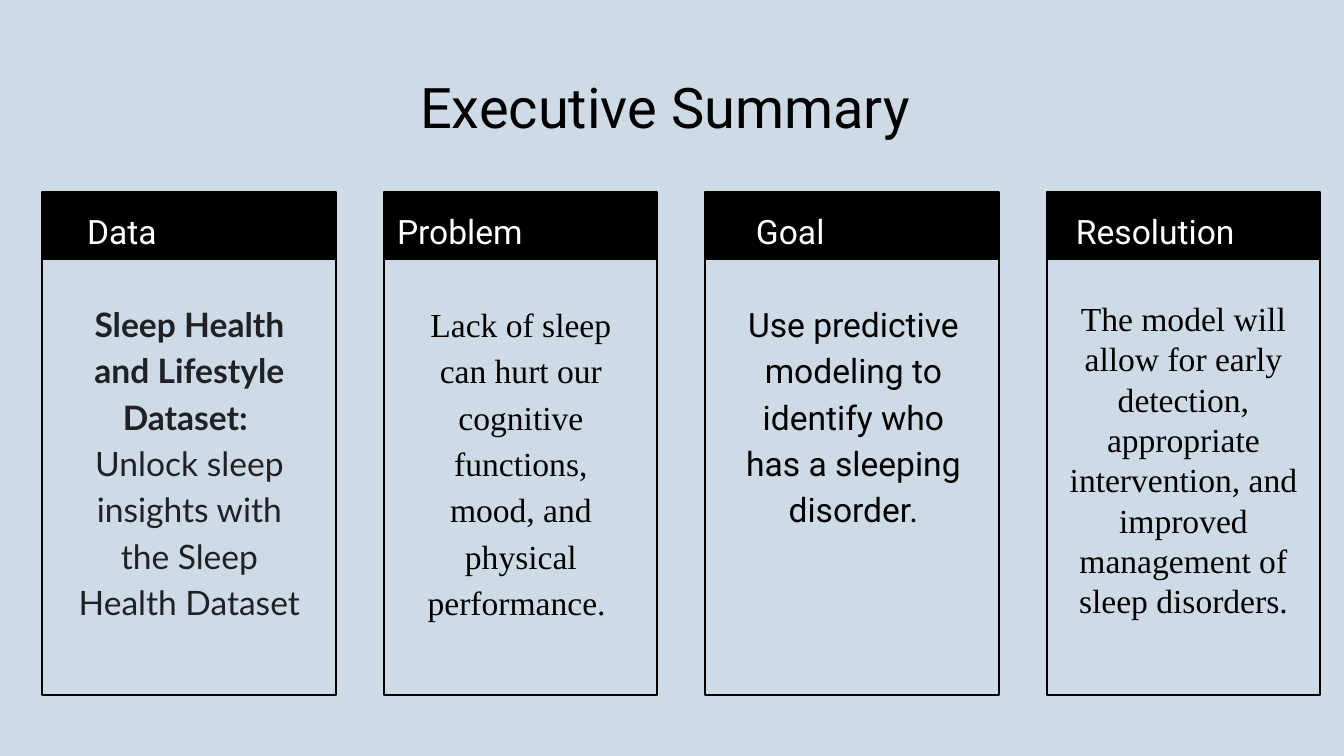
from dataclasses import dataclass

from pptx import Presentation
from pptx.dml.color import RGBColor
from pptx.enum.shapes import MSO_SHAPE as Shape
from pptx.enum.text import MSO_ANCHOR as Anchor, PP_ALIGN as Align
from pptx.util import Emu, Pt

EMU_PER_PX = 914400 / 134.4
SKY = RGBColor(0xCE, 0xDB, 0xE6)
BLACK = RGBColor(0, 0, 0)
WHITE = RGBColor(0xFF, 0xFF, 0xFF)
CHARCOAL = RGBColor(0x20, 0x21, 0x24)

PAGE_W, PAGE_H = 1344, 756
CARD_LEFT, CARD_TOP, CARD_H, CARD_GAP = 42, 192, 503, 48
HEADER_H, BODY_TOP, BODY_H, INSET = 68, 285, 400, 13


def px(value):
    return Emu(round(value * EMU_PER_PX))


@dataclass
class Card:
    """One column; the indents are measured from its left edge."""
    width: int
    label: str
    label_indent: int
    body: list
    body_indent: int
    body_width: int
    font: str
    color: RGBColor = BLACK
    spacing: float = 1.15
    lead_bold: bool = False


CARDS = [
    Card(294, "Data", 32,
         ["Sleep Health and Lifestyle Dataset: ",
          "Unlock sleep insights with the Sleep Health Dataset"],
         23, 249, "Lato", CHARCOAL, lead_bold=True),
    Card(273, "Problem", 0,
         ["Lack of sleep can hurt our cognitive functions, mood, and "
          "physical performance. "],
         18, 238, "Times New Roman"),
    Card(294, "Goal", 38,
         ["Use predictive modeling to identify who has a sleeping disorder."],
         23, 251, "Roboto"),
    Card(273, "Resolution", 16,
         ["The model will allow for early detection, appropriate "
          "intervention, and improved management of sleep disorders."],
         0, 273, "Times New Roman", spacing=1.0),
]


class SlideBuilder:
    def __init__(self, deck):
        self.page = deck.slides.add_slide(deck.slide_layouts[6])
        fill = self.page.background.fill
        fill.solid()
        fill.fore_color.rgb = SKY

    def rect(self, left, top, width, height, filled):
        """Draw a solid black bar, or a thin black frame."""
        shape = self.page.shapes.add_shape(
            Shape.RECTANGLE, px(left), px(top), px(width), px(height))
        shape.shadow.inherit = False
        if filled:
            shape.fill.solid()
            shape.fill.fore_color.rgb = BLACK
            shape.line.fill.background()
        else:
            shape.fill.background()
            shape.line.color.rgb = BLACK
            shape.line.width = Pt(0.75)

    def text(self, left, top, width, height, lines, font="Roboto", size=18,
             color=BLACK, align=Align.CENTER, spacing=1.15, lead_bold=False):
        box = self.page.shapes.add_textbox(
            px(left), px(top), px(width), px(height))
        frame = box.text_frame
        frame.word_wrap = True
        frame.vertical_anchor = Anchor.TOP
        frame.margin_left = frame.margin_right = px(INSET)
        frame.margin_top = frame.margin_bottom = px(INSET)
        frame.text = "\n".join(lines)
        for index, para in enumerate(frame.paragraphs):
            para.alignment = align
            para.line_spacing = spacing
            for span in para.runs:
                span.font.name = font
                span.font.size = Pt(size)
                span.font.color.rgb = color
                span.font.bold = lead_bold and index == 0

    def card(self, left, card):
        self.rect(left, CARD_TOP, card.width, HEADER_H, filled=True)
        self.rect(left, CARD_TOP, card.width, CARD_H, filled=False)
        self.text(left + card.label_indent, CARD_TOP,
                  card.width - card.label_indent, HEADER_H, [card.label],
                  color=WHITE, align=Align.LEFT)
        self.text(left + card.body_indent, BODY_TOP, card.body_width, BODY_H,
                  card.body, card.font, color=card.color,
                  spacing=card.spacing, lead_bold=card.lead_bold)


def main():
    deck = Presentation()
    deck.slide_width, deck.slide_height = px(PAGE_W), px(PAGE_H)
    builder = SlideBuilder(deck)
    builder.text(46, 60, 1252, 89, ["Executive Summary "], size=30, spacing=1.0)
    left = CARD_LEFT
    for card in CARDS:
        builder.card(left, card)
        left += card.width + CARD_GAP
    deck.save("out.pptx")


if __name__ == "__main__":
    main()
